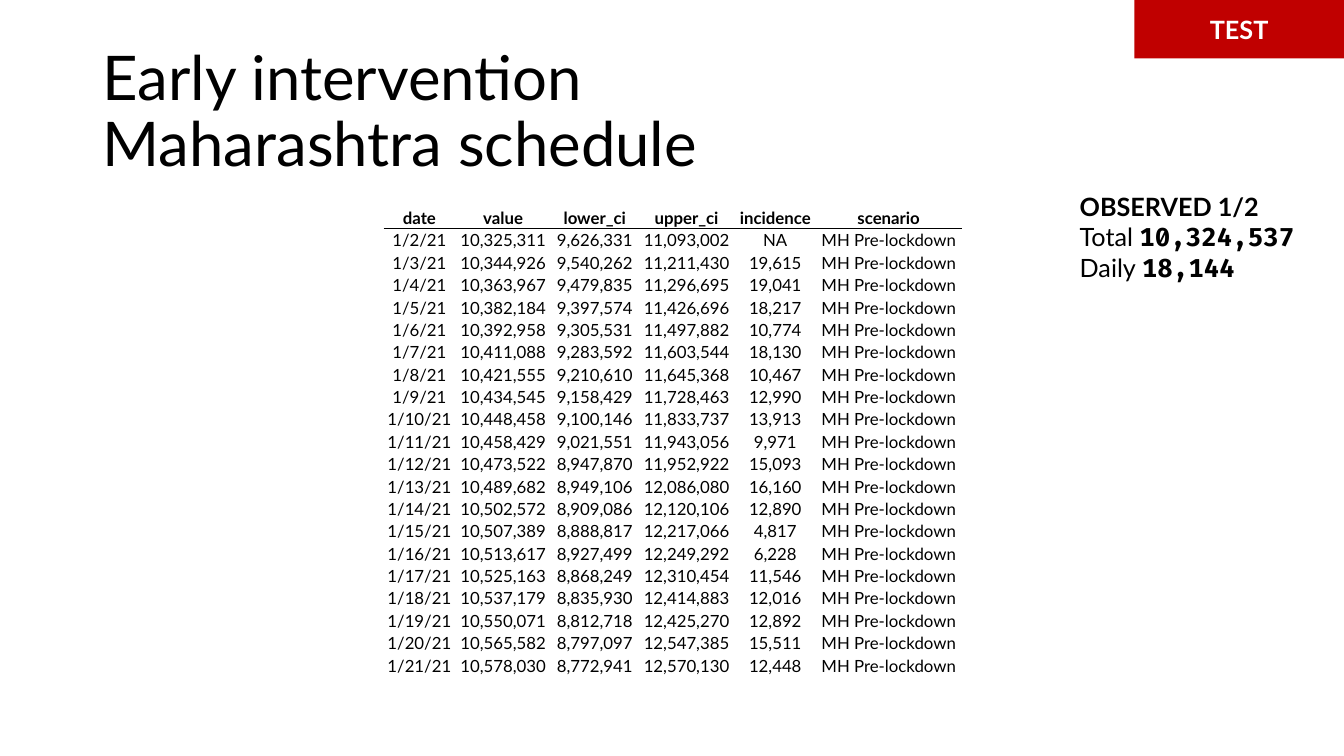
import pptx
import pptx.util
import pptx.dml.color
import pptx.enum.shapes
import pptx.enum.text
import pptx.oxml
import pptx.oxml.ns

# Content
TITLE = ("Early intervention", "Maharashtra schedule")
TAG = "TEST"
SCENE = "MH Pre-lockdown"
HEADS = ("date", "value", "lower_ci", "upper_ci", "incidence", "scenario")
DAYS = [
    ("10,325,311", "9,626,331", "11,093,002", "NA"),
    ("10,344,926", "9,540,262", "11,211,430", "19,615"),
    ("10,363,967", "9,479,835", "11,296,695", "19,041"),
    ("10,382,184", "9,397,574", "11,426,696", "18,217"),
    ("10,392,958", "9,305,531", "11,497,882", "10,774"),
    ("10,411,088", "9,283,592", "11,603,544", "18,130"),
    ("10,421,555", "9,210,610", "11,645,368", "10,467"),
    ("10,434,545", "9,158,429", "11,728,463", "12,990"),
    ("10,448,458", "9,100,146", "11,833,737", "13,913"),
    ("10,458,429", "9,021,551", "11,943,056", "9,971"),
    ("10,473,522", "8,947,870", "11,952,922", "15,093"),
    ("10,489,682", "8,949,106", "12,086,080", "16,160"),
    ("10,502,572", "8,909,086", "12,120,106", "12,890"),
    ("10,507,389", "8,888,817", "12,217,066", "4,817"),
    ("10,513,617", "8,927,499", "12,249,292", "6,228"),
    ("10,525,163", "8,868,249", "12,310,454", "11,546"),
    ("10,537,179", "8,835,930", "12,414,883", "12,016"),
    ("10,550,071", "8,812,718", "12,425,270", "12,892"),
    ("10,565,582", "8,797,097", "12,547,385", "15,511"),
    ("10,578,030", "8,772,941", "12,570,130", "12,448"),
]
SANS, MONO = "Lato", "Fira Code"
NOTES = [  # lines of (text, font, bold)
    [("OBSERVED 1/2", SANS, True)],
    [("Total ", SANS, False), ("10,324,537", MONO, True)],
    [("Daily ", SANS, False), ("18,144", MONO, True)],
]
COLORS = {"ink": "000000", "red": "C00000", "white": "FFFFFF"}
WIDTHS = (0.7, 0.96, 0.86, 0.96, 0.8, 1.45)
HIGH = 4.67  # table height

Inches, Pt = pptx.util.Inches, pptx.util.Pt
ALIGN, ANCHOR = pptx.enum.text.PP_ALIGN, pptx.enum.text.MSO_ANCHOR


def color(name):
    return pptx.dml.color.RGBColor.from_string(COLORS[name])


def write(para, text, size, font=SANS, bold=False, ink="ink"):
    run = para.add_run()
    run.text = text
    run.font.size, run.font.name, run.font.bold = Pt(size), font, bold
    run.font.color.rgb = color(ink)


def rule(cell, side):
    """Draw a thin line on one side of a cell."""
    line = pptx.oxml.parse_xml(
        f'<a:{side} {pptx.oxml.ns.nsdecls("a")} w="6350"><a:solidFill>'
        f'<a:srgbClr val="{COLORS["ink"]}"/></a:solidFill></a:{side}>')
    cell._tc.get_or_add_tcPr().insert(0, line)


def text_box(slide, *place):
    frame = slide.shapes.add_textbox(*map(Inches, place)).text_frame
    frame.word_wrap = True
    return frame


def main():
    deck = pptx.Presentation()
    deck.slide_width, deck.slide_height = Inches(13.33), Inches(7.5)
    slide = deck.slides.add_slide(deck.slide_layouts[6])

    # Title
    frame = text_box(slide, 0.92, 0.4, 11.5, 1.45)
    frame.vertical_anchor = ANCHOR.MIDDLE
    para = frame.paragraphs[0]
    para.line_spacing = 0.9
    write(para, TITLE[0], 44)
    para.add_line_break()
    write(para, TITLE[1], 44)

    # Corner tag
    tag = slide.shapes.add_shape(pptx.enum.shapes.MSO_SHAPE.RECTANGLE,
                                 *map(Inches, (11.25, 0, 2.08, 0.58)))
    tag.shadow.inherit = False
    tag.fill.solid()
    tag.fill.fore_color.rgb = color("red")
    tag.line.fill.background()
    tag.text_frame.vertical_anchor = ANCHOR.MIDDLE
    para = tag.text_frame.paragraphs[0]
    para.alignment = ALIGN.CENTER
    write(para, TAG, 18, bold=True, ink="white")

    # Schedule table
    rows = [HEADS] + [(f"1/{day}/21", *vals, SCENE)
                      for day, vals in enumerate(DAYS, 2)]
    table = slide.shapes.add_table(
        len(rows), len(HEADS), Inches(3.81), Inches(2.04),
        Inches(sum(WIDTHS)), Inches(HIGH)).table
    table.first_row = table.horz_banding = False
    for col, width in zip(table.columns, WIDTHS):
        col.width = Inches(width)
    for r, row in enumerate(rows):
        table.rows[r].height = Inches(HIGH / len(rows))
        for c, text in enumerate(row):
            cell = table.cell(r, c)
            cell.fill.background()
            cell.vertical_anchor = ANCHOR.BOTTOM
            cell.margin_left = cell.margin_right = cell.margin_top = Inches(0.01)
            cell.margin_bottom = 0
            para = cell.text_frame.paragraphs[0]
            para.alignment = ALIGN.CENTER
            write(para, text, 12, bold=r == 0)
            if r < 2:
                rule(cell, ("lnB", "lnT")[r])

    # Observed figures
    frame = text_box(slide, 10.61, 1.85, 2.42, 1.01)
    frame.auto_size = pptx.enum.text.MSO_AUTO_SIZE.SHAPE_TO_FIT_TEXT
    for i, line in enumerate(NOTES):
        para = frame.add_paragraph() if i else frame.paragraphs[0]
        for text, font, bold in line:
            write(para, text, 18, font, bold)

    deck.save("out.pptx")


if __name__ == "__main__":
    main()
